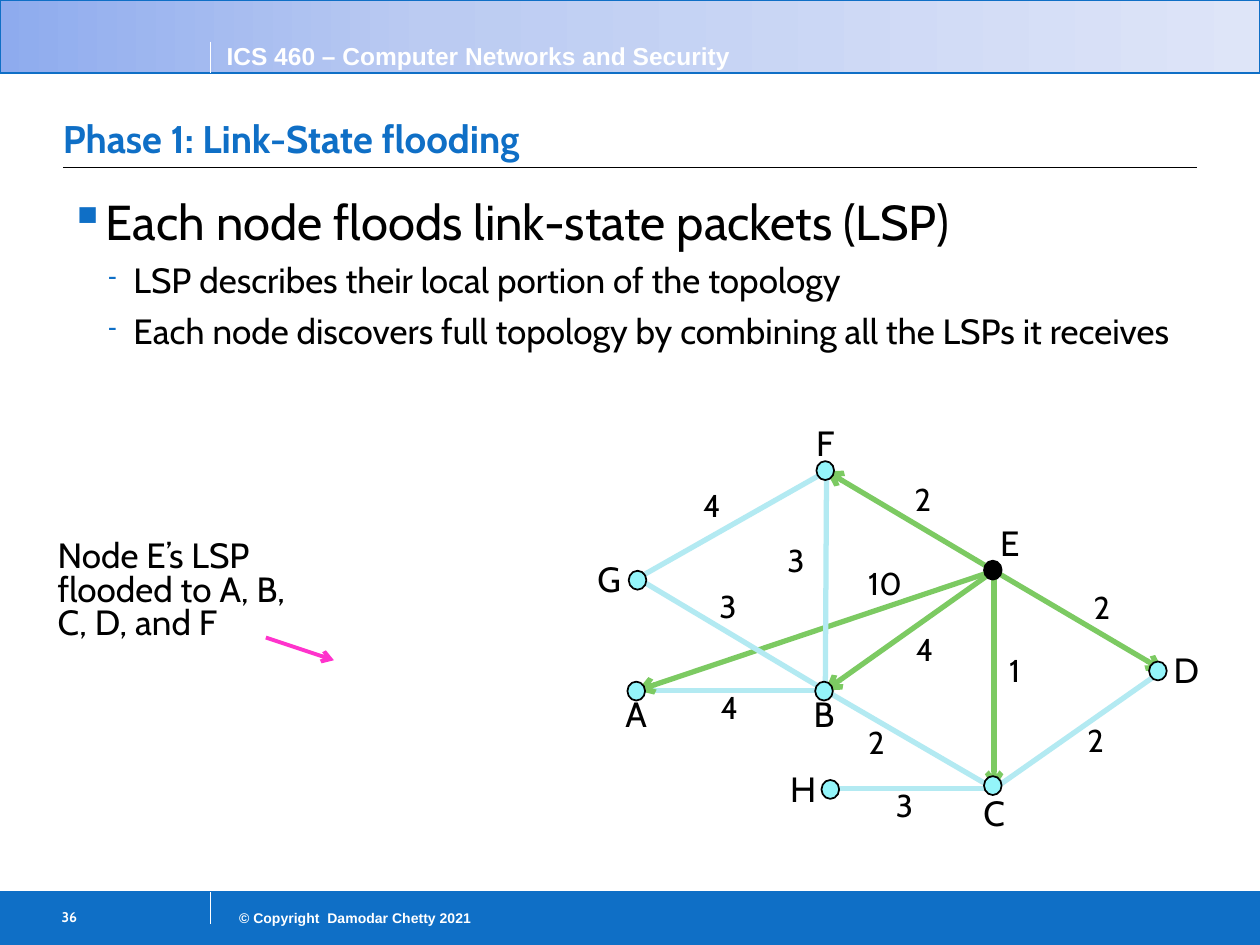
from copy import deepcopy

from lxml import etree
from pptx import Presentation
from pptx import util as u
from pptx.dml.color import RGBColor
from pptx.enum import shapes as kinds, text as t
from pptx.oxml import ns

# The slide is a grid of 100 columns by 75 rows
COLUMNS, ROWS = 100, 75
CELL = u.Inches(0.1)

BLUE = RGBColor(0x0F, 0x6F, 0xC6)
WHITE = RGBColor(0xFF, 0xFF, 0xFF)
BLACK = RGBColor(0, 0, 0)
PALE_BLUE = RGBColor(0xB3, 0xEA, 0xF2)
GREEN = RGBColor(0x7C, 0xCA, 0x62)
CYAN = RGBColor(0x94, 0xF5, 0xFA)
PINK = RGBColor(0xFF, 0x33, 0xCC)
HEADER_STOPS = [(0, RGBColor(0x8E, 0xAB, 0xEE)),
                (0.34, RGBColor(0xBB, 0xCB, 0xF2)),
                (1, RGBColor(0xDE, 0xE5, 0xF8))]

HEADER_BOTTOM, FOOTER_TOP, DIVIDER, TICK = 5.8, 70.8, 16.7, 2.5

# Formats: font, text frame
BAR_FONT = dict(name="Arial", bold=True, color=WHITE)
NODE_FONT = dict(size=u.Pt(20))
COST_FONT = dict(size=u.Pt(18))
GROW = dict(auto_size=t.MSO_AUTO_SIZE.SHAPE_TO_FIT_TEXT)
NODE_FRAME = dict(GROW, word_wrap=False, vertical_anchor=t.MSO_ANCHOR.MIDDLE)
COST_FRAME = dict(GROW, word_wrap=False, margin_left=CELL // 2,
                  margin_right=CELL // 2, margin_top=0, margin_bottom=0)

# Node: where its links meet, corner of its dot, box of its letter
NODE_SIZE = (1.4, 1.5)
NODES = {
    "D": ((92.3, 53.2), (91.2, 52.5), (91.9, 51, 4.5, 4.3)),
    "F": ((65.6, 37.4), (64.8, 36.6), (63.5, 33, 4, 4.3)),
    "B": ((65.5, 54.8), (64.7, 54.1), (63.3, 54.5, 4.2, 4.3)),
    "C": ((78.9, 62.6), (78.1, 61.6), (76.8, 62.3, 4.2, 4.3)),
    "E": ((78.9, 45.3), (78.1, 44.5), (78.1, 40.9, 4.1, 4.3)),
    "G": ((50.6, 45.9), (49.9, 45.3), (46.1, 43.8, 4.5, 4.3)),
    "H": ((65.5, 62.6), (65.2, 61.9), (61.5, 60.4, 4.5, 4.3)),
    "A": ((50.6, 54.8), (49.8, 54.1), (48.3, 54.5, 4.4, 4.3)),
}
# Link: its two nodes, its cost, corner of the cost label
LINKS = [
    ("AB", 4, (56.7, 54.6)), ("BC", 2, (68.4, 57.4)),
    ("EC", 1, (79.6, 51.7)), ("EB", 4, (72.2, 50)),
    ("EA", 10, (68.4, 44.8)), ("BF", 3, (62, 42.9)),
    ("BG", 3, (56.6, 46.6)), ("GF", 4, (55.3, 38.6)),
    ("EF", 2, (72.1, 38.1)), ("ED", 2, (86.3, 46.7)),
    ("CD", 2, (85.8, 57.2)), ("CH", 3, (70.6, 62.4)),
]
SOURCE = "E"

# Body line: text, level, size, left margin and hanging indent in columns
BODY = [
    ("Each node floods link-state packets (LSP)", 0, 28, 2.1, 2.1),
    ("LSP describes their local portion of the topology", 1, 20, 5.1, 2),
    ("Each node discovers full topology by combining all the LSPs it receives",
     1, 20, 5.1, 2),
]


def cells(*values):
    return [u.Emu(round(value * CELL)) for value in values]


def apply(target, formats):
    for name, value in formats.items():
        setattr(target, name, value)


def add_run(paragraph, words, font):
    run = paragraph.add_run()
    run.text = words
    formats = dict({"name": "Cabin", "color": BLACK}, **font)
    run.font.color.rgb = formats.pop("color")
    apply(run.font, formats)


def add_box(shapes, box, frame):
    text_frame = shapes.add_textbox(*cells(*box)).text_frame
    apply(text_frame, dict({"word_wrap": True}, **frame))
    return text_frame


def add_text(shapes, box, words, font, frame=GROW, **paragraph_formats):
    paragraph = add_box(shapes, box, frame).paragraphs[0]
    apply(paragraph, paragraph_formats)
    add_run(paragraph, words, font)


def add_shape(shapes, kind, box, fill, line, width):
    shape = shapes.add_shape(kind, *cells(*box))
    shape.shadow.inherit = False
    shape.line.color.rgb, shape.line.width = line, u.Pt(width)
    if fill is not None:
        shape.fill.solid()
        shape.fill.fore_color.rgb = fill
    return shape


def add_line(shapes, start, end, color, width, arrow=False):
    line = shapes.add_connector(kinds.MSO_CONNECTOR.STRAIGHT,
                                *cells(*start, *end))
    line.line.color.rgb, line.line.width = color, u.Pt(width)
    if arrow:
        etree.SubElement(line.line._get_or_add_ln(), ns.qn("a:tailEnd"),
                         type="arrow")
    etree.SubElement(line._element.spPr, ns.qn("a:effectLst"))


def fill_gradient(shape, stops):
    shape.fill.gradient()
    shape.fill.gradient_angle = 0
    first = shape._element.spPr.find(".//" + ns.qn("a:gs"))
    first.addnext(deepcopy(first))
    for stop, (position, color) in zip(shape.fill.gradient_stops, stops):
        stop.position, stop.color.rgb = position, color


def add_bullet(paragraph, level, margin, hanging):
    properties = paragraph._p.get_or_add_pPr()
    left, indent = cells(margin, -hanging)
    properties.set("marL", str(left))
    properties.set("indent", str(indent))
    color = etree.SubElement(properties, ns.qn("a:buClr"))
    etree.SubElement(color, ns.qn("a:srgbClr"), val=str(BLUE))
    if level:
        etree.SubElement(properties, ns.qn("a:buSzPct"), val="70000")
    etree.SubElement(properties, ns.qn("a:buChar"), char="-" if level else "▪")


def add_body(shapes):
    margins = dict(margin_left=CELL // 2, margin_right=CELL // 2)
    text_frame = add_box(shapes, (5, 14.5, 95, 53.9), margins)
    for index, (words, level, size, margin, hanging) in enumerate(BODY):
        paragraph = text_frame.add_paragraph() if index else text_frame.paragraphs[0]
        add_bullet(paragraph, level, margin, hanging)
        paragraph.level, paragraph.line_spacing = level, 1.04
        if index:
            paragraph.space_before = u.Pt(size * 0.2)
        add_run(paragraph, words, dict(size=u.Pt(size)))


def add_bars(shapes):
    rectangle = kinds.MSO_SHAPE.RECTANGLE
    add_shape(shapes, rectangle, (0, FOOTER_TOP, COLUMNS, ROWS - FOOTER_TOP),
              BLUE, BLUE, 0.75)
    header = add_shape(shapes, rectangle, (0, 0, COLUMNS, HEADER_BOTTOM),
                       None, BLUE, 0.75)
    fill_gradient(header, HEADER_STOPS)
    for row in (HEADER_BOTTOM, FOOTER_TOP):
        add_line(shapes, (0, row), (COLUMNS, row), BLUE, 0.5)
    for row in (HEADER_BOTTOM - TICK, FOOTER_TOP):
        add_line(shapes, (DIVIDER, row), (DIVIDER, row + TICK), WHITE, 0.75)
    add_text(shapes, (17, 2.8, 43, 3.4), "ICS 460 – Computer Networks and Security",
             dict(BAR_FONT, size=u.Pt(14)))
    add_text(shapes, (DIVIDER, 71.7, 21.7, 2.4), "© Copyright  Damodar Chetty 2021",
             dict(BAR_FONT, size=u.Pt(8)), alignment=t.PP_ALIGN.RIGHT)
    add_text(shapes, (3.3, 71.4, 13.3, 3.5), "36",
             dict(size=u.Pt(8), bold=True, color=WHITE),
             dict(margin_left=u.Inches(0.16), margin_top=u.Inches(0.07)))


def add_network(shapes):
    network = shapes.add_group_shape().shapes
    for (start, end), _, _ in LINKS:
        flooded = start == SOURCE
        add_line(network, NODES[start][0], NODES[end][0],
                 GREEN if flooded else PALE_BLUE, 3, arrow=flooded)
    for name, (_, corner, _) in NODES.items():
        add_shape(network, kinds.MSO_SHAPE.OVAL, corner + NODE_SIZE,
                  BLACK if name == SOURCE else CYAN, BLACK, 1)
    for name, (_, _, box) in NODES.items():
        add_text(network, box, name, NODE_FONT, NODE_FRAME,
                 alignment=t.PP_ALIGN.CENTER)
    for _, cost, corner in LINKS:
        width = 4.3 if cost > 9 else 2.7
        add_text(network, corner + (width, 3), str(cost), COST_FONT, COST_FRAME)


def main():
    presentation = Presentation()
    presentation.slide_width, presentation.slide_height = cells(COLUMNS, ROWS)
    slide = presentation.slides.add_slide(presentation.slide_layouts[6])
    shapes = slide.shapes

    # Header, footer and title
    add_bars(shapes)
    add_line(shapes, (5, 13.3), (95, 13.3), BLACK, 0.75)
    add_text(shapes, (5, 6.1, 90, 7.2), "Phase 1: Link-State flooding",
             dict(size=u.Pt(22), bold=True, color=BLUE),
             dict(margin_left=0, margin_right=0,
                  vertical_anchor=t.MSO_ANCHOR.BOTTOM))

    # Bullets, network and its note
    add_body(shapes)
    add_network(shapes)
    add_line(shapes, (21.1, 50.6), (26.5, 52.4), PINK, 2.25, arrow=True)
    add_text(shapes, (3.6, 42.5, 22.9, 9.2),
             "Node E’s LSP flooded to A, B, C, D, and F", NODE_FONT,
             line_spacing=0.8)
    presentation.save("out.pptx")


if __name__ == "__main__":
    main()
